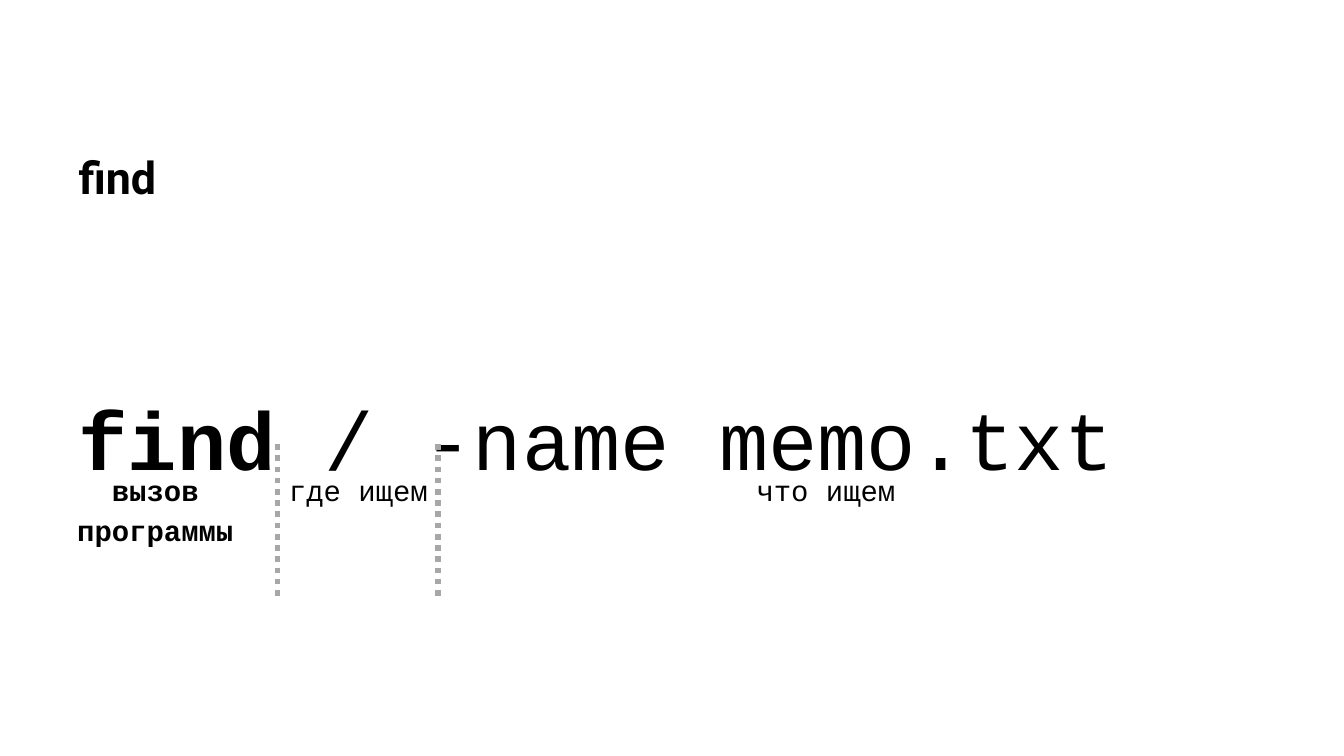
from lxml import etree
from pptx import Presentation
from pptx.dml.color import RGBColor
from pptx.enum import dml, shapes, text
from pptx.oxml.ns import qn
from pptx.util import Inches, Pt

BLACK = RGBColor(0x00, 0x00, 0x00)
GREY = RGBColor(0xA7, 0xA7, 0xA7)
MONO = "Courier New"
LEFT, CENTER = text.PP_ALIGN.LEFT, text.PP_ALIGN.CENTER


def write(sp, runs, size, font=MONO, spacing=1.0, align=LEFT):
    """Fill a shape with one paragraph of (words, bold) runs."""
    tf = sp.text_frame
    tf.word_wrap = True
    tf.auto_size = text.MSO_AUTO_SIZE.NONE
    tf.vertical_anchor = text.MSO_ANCHOR.TOP
    tf.margin_left = tf.margin_top = tf.margin_right = tf.margin_bottom = 0
    p = tf.paragraphs[0]
    p.alignment = align
    p.line_spacing = spacing
    p.space_before = Pt(0)
    for words, bold in runs:
        r = p.add_run()
        r.text = words
        r.font.name = font
        r.font.size = Pt(size)
        r.font.bold = bold
        r.font.color.rgb = BLACK


def add_title(s, box, words):
    """Place and format the title placeholder."""
    sp = s.shapes.title
    sp.left, sp.top, sp.width, sp.height = map(Inches, box)
    write(sp, [(words, True)], 48, font="Roboto")


def add_command(s, box, program, arguments):
    """Show the command line with its program name in bold."""
    sp = s.shapes.add_textbox(*map(Inches, box))
    write(sp, [(program, True), (arguments, False)], 88, spacing=1.5)


def add_label(s, box, words, bold=False, align=CENTER):
    """Explain one part of the command."""
    sp = s.shapes.add_textbox(*map(Inches, box))
    write(sp, [(words, bold)], 31, spacing=1.15, align=align)


def add_divider(s, x, top, height):
    """Draw a dotted vertical line between two parts."""
    line = s.shapes.add_connector(
        shapes.MSO_CONNECTOR.STRAIGHT,
        Inches(x), Inches(top), Inches(x), Inches(top + height))
    line.line.color.rgb = GREY
    line.line.width = Pt(6)
    line.line.dash_style = dml.MSO_LINE.ROUND_DOT
    etree.SubElement(line._element.spPr, qn("a:effectLst"))


def main():
    """Build the slide and save it."""
    prs = Presentation()
    prs.slide_width, prs.slide_height = Inches(20), Inches(11.25)
    s = prs.slides.add_slide(prs.slide_layouts[5])
    add_title(s, (1.17, 2.23, 17.44, 1.61), "find")
    add_command(s, (1.17, 5.05, 17.65, 1.27), "find", " / -name memo.txt")
    label_top = 6.96
    add_label(s, (4.3, label_top, 2.58, 2.08), "где ищем", align=LEFT)
    add_label(s, (9.6, label_top, 5.38, 1.27), "что ищем")
    for x in (6.52, 4.13):
        add_divider(s, x, 6.61, 2.32)
    add_label(s, (1.02, label_top, 2.58, 2.08), "вызов программы", bold=True)
    prs.save("out.pptx")


if __name__ == "__main__":
    main()
